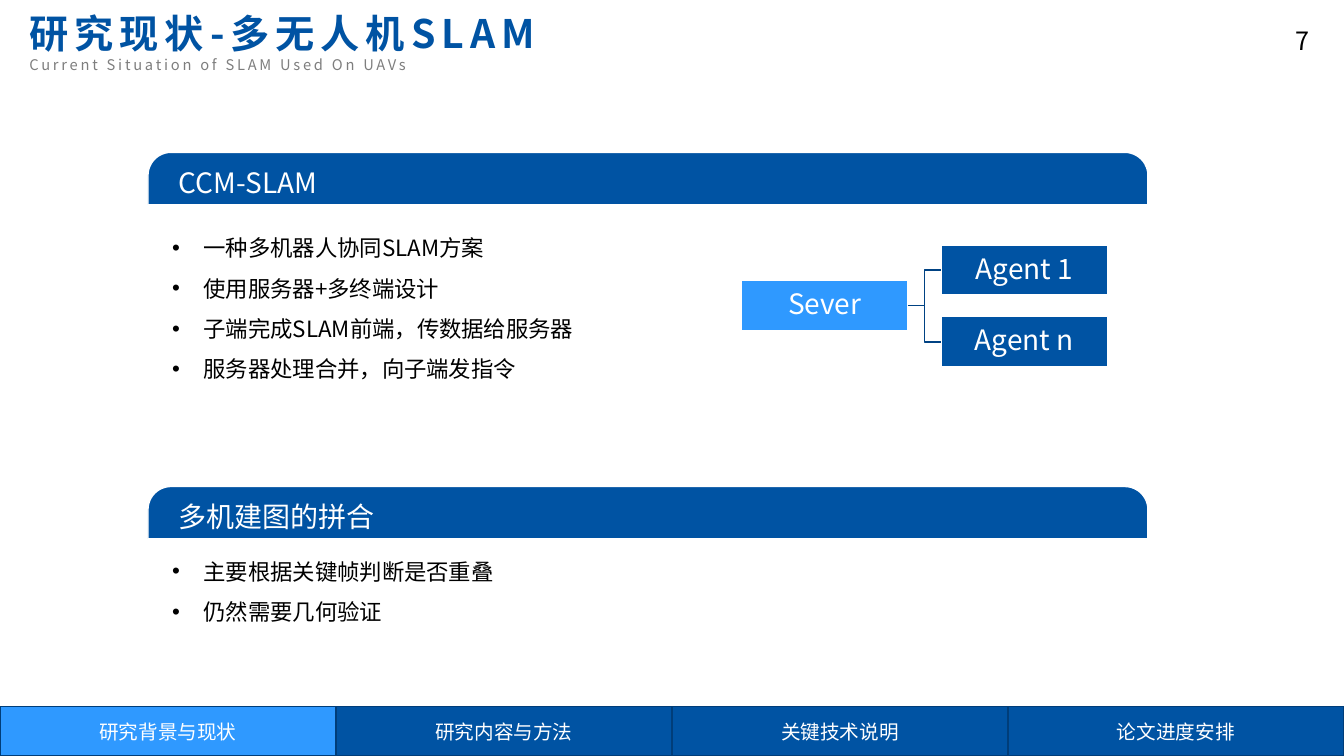
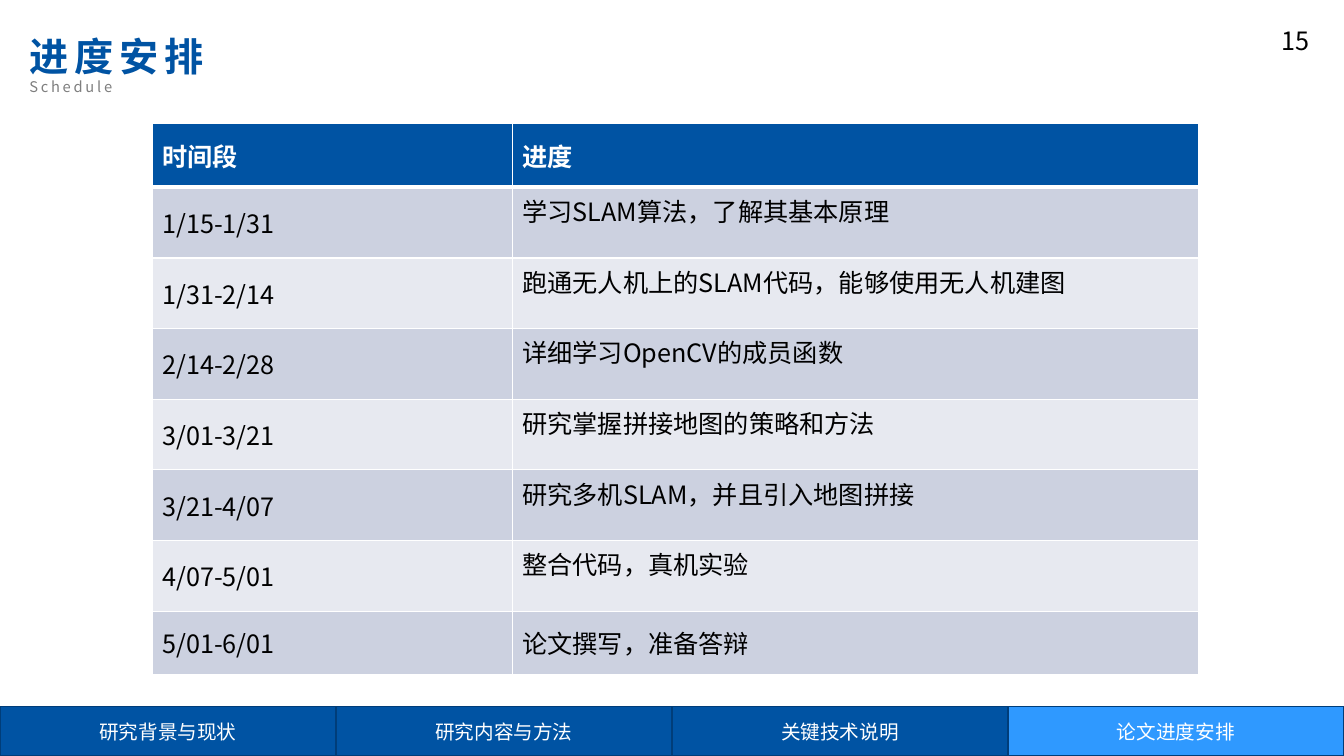
from lxml import etree
from pptx import Presentation
from pptx import util as u
from pptx.dml.color import RGBColor
from pptx.enum import shapes, text
from pptx.oxml.ns import qn

FONT = "Noto Sans CJK SC"
COLORS = {
    "primary": "0053A3", "active": "2F99FF", "outline": "003D79",
    "link": "004283", "white": "FFFFFF", "black": "000000",
    "subtitle": "7E7E7E", "row_dark": "CCD1E0", "row_light": "E7E9F0",
}
WIDTH, HEIGHT = 33.87, 19.05
CHAPTERS = ["研究背景与现状", "研究内容与方法", "关键技术说明", "论文进度安排"]


def color(name):
    return RGBColor.from_string(COLORS[name])


def write(paragraph, content, size=16, ink="black", bold=False, align="LEFT",
          line=1.0, spacing=0, bullet=False):
    """Put formatted text into a paragraph."""
    if bullet:
        properties = paragraph._p.get_or_add_pPr()
        properties.set("marL", str(u.Cm(0.79)))
        properties.set("indent", str(-u.Cm(0.79)))
        etree.SubElement(properties, qn("a:buFont")).set("typeface", "Arial")
        etree.SubElement(properties, qn("a:buChar")).set("char", "•")
    paragraph.alignment = getattr(text.PP_ALIGN, align)
    paragraph.line_spacing = line
    paragraph.space_before = u.Pt(0)
    run = paragraph.add_run()
    run.text = content
    run.font.name = FONT
    run.font.size = u.Pt(size)
    run.font.bold = bold
    run.font.color.rgb = color(ink)
    run_properties = run._r.get_or_add_rPr()
    etree.SubElement(run_properties, qn("a:ea")).set("typeface", FONT)
    if spacing:
        run_properties.set("spc", str(int(spacing * 100)))


class Deck:
    """Holds the shared style and the current slide."""

    def __init__(self):
        self.presentation = Presentation()
        self.presentation.slide_width = u.Cm(WIDTH)
        self.presentation.slide_height = u.Cm(HEIGHT)
        self.slide = None

    def start(self, title, subtitle, top, number, chapter):
        """New slide with its title, page number and chapter bar."""
        layout = self.presentation.slide_layouts[5]
        self.slide = self.presentation.slides.add_slide(layout)
        holder = self.slide.shapes.title
        holder.left, holder.top = u.Cm(0.74), u.Cm(top)
        holder.width, holder.height = u.Cm(20), u.Cm(1.9)
        frame = holder.text_frame
        self.prepare(frame, "TOP", 0, 0)
        write(frame.paragraphs[0], title, size=28, ink="primary", bold=True,
              line=0.9, spacing=4.3)
        write(frame.add_paragraph(), subtitle, size=10.5, ink="subtitle",
              line=0.9, spacing=2)
        self.textbox(31.2, 0.51, 2.05, 1.02, [number], size=18, align="RIGHT")
        tab = WIDTH / len(CHAPTERS)
        for index, name in enumerate(CHAPTERS):
            fill = "active" if index == chapter else "primary"
            self.block(index * tab, 17.81, tab, 1.24, name, fill=fill,
                       outline="outline", size=14, align="CENTER")

    def prepare(self, frame, anchor, side, edge):
        frame.word_wrap = True
        frame.auto_size = text.MSO_AUTO_SIZE.NONE
        frame.vertical_anchor = getattr(text.MSO_ANCHOR, anchor)
        frame.margin_left = frame.margin_right = u.Cm(side)
        frame.margin_top = frame.margin_bottom = u.Cm(edge)

    def textbox(self, left, top, width, height, lines, **style):
        box = self.slide.shapes.add_textbox(
            u.Cm(left), u.Cm(top), u.Cm(width), u.Cm(height))
        frame = box.text_frame
        self.prepare(frame, "TOP", 0.25, 0.13)
        for index, content in enumerate(lines):
            paragraph = frame.add_paragraph() if index else frame.paragraphs[0]
            write(paragraph, content, **style)

    def block(self, left, top, width, height, content, fill="primary",
              outline="white", kind="RECTANGLE", side=0.03, **style):
        """Filled shape with one line of white text."""
        shape = self.slide.shapes.add_shape(
            getattr(shapes.MSO_SHAPE, kind),
            u.Cm(left), u.Cm(top), u.Cm(width), u.Cm(height))
        shape.shadow.inherit = False
        shape.fill.solid()
        shape.fill.fore_color.rgb = color(fill)
        shape.line.color.rgb = color(outline)
        shape.line.width = u.Pt(1)
        self.prepare(shape.text_frame, "MIDDLE", side, 0.03)
        write(shape.text_frame.paragraphs[0], content, ink="white", **style)
        return shape

    def section(self, top, heading, text_top, points):
        """Rounded heading band with bullets below it."""
        band = self.block(3.73, top, 25.2, 1.32, heading, size=20, side=0.6,
                          kind="ROUND_2_SAME_RECTANGLE")
        band.adjustments[0] = 0.44
        self.textbox(4.09, text_top, 14, 1.1 * len(points), points,
                     line=1.5, bullet=True)

    def node(self, left, top, name, fill="primary"):
        return self.block(left, top, 4.19, 1.27, name, fill=fill, size=20,
                          align="CENTER", line=0.9)

    def link(self, parent, child):
        connector = self.slide.shapes.add_connector(
            shapes.MSO_CONNECTOR.ELBOW, 0, 0, 0, 0)
        connector.begin_connect(parent, 3)
        connector.end_connect(child, 1)
        connector.line.color.rgb = color("link")
        connector.line.width = u.Pt(1)
        etree.SubElement(connector._element.spPr, qn("a:effectLst"))

    def border(self, cell, side, width):
        line = etree.SubElement(cell._tc.get_or_add_tcPr(), qn("a:ln" + side))
        line.set("w", str(u.Pt(width)))
        fill = etree.SubElement(line, qn("a:solidFill"))
        etree.SubElement(fill, qn("a:srgbClr")).set("val", COLORS["white"])

    def table(self, left, top, widths, heights, rows):
        table = self.slide.shapes.add_table(
            len(rows), len(widths), u.Cm(left), u.Cm(top),
            u.Cm(sum(widths)), u.Cm(sum(heights))).table
        for column, width in zip(table.columns, widths):
            column.width = u.Cm(width)
        for r, values in enumerate(rows):
            table.rows[r].height = u.Cm(heights[r])
            header = r == 0
            fill = "primary" if header else "row_dark" if r % 2 else "row_light"
            for c, value in enumerate(values):
                cell = table.cell(r, c)
                for side in "LRTB":
                    thick = (r, side) in ((0, "B"), (1, "T"))
                    self.border(cell, side, 3 if thick else 1)
                cell.fill.solid()
                cell.fill.fore_color.rgb = color(fill)
                # Descriptions sit at the top of the taller rows
                upper = c == 1 and 0 < r < len(rows) - 1
                cell.vertical_anchor = (text.MSO_ANCHOR.TOP if upper
                                        else text.MSO_ANCHOR.MIDDLE)
                write(cell.text_frame.paragraphs[0], value, size=18,
                      ink="white" if header else "black", bold=header)


def multi_drone_slide(deck):
    deck.start("研究现状-多无人机SLAM", "Current Situation of SLAM Used On UAVs",
               top=0.38, number="7", chapter=0)
    deck.section(3.84, "CCM-SLAM", 5.44, [
        "一种多机器人协同SLAM方案",
        "使用服务器+多终端设计",
        "子端完成SLAM前端，传数据给服务器",
        "服务器处理合并，向子端发指令",
    ])
    deck.section(12.26, "多机建图的拼合", 13.59, [
        "主要根据关键帧判断是否重叠",
        "仍然需要几何验证",
    ])
    # Server and agents
    server = deck.node(18.69, 7.07, "Sever", fill="active")
    for top, name in ((6.17, "Agent 1"), (7.98, "Agent n")):
        deck.link(server, deck.node(23.72, top, name))


def schedule_slide(deck):
    deck.start("进度安排", "Schedule", top=0.94, number="15", chapter=3)
    deck.table(3.84, 3.12, [9.07, 17.3], [1.6] + [1.78] * 6 + [1.6], [
        ("时间段", "进度"),
        ("1/15-1/31", "学习SLAM算法，了解其基本原理"),
        ("1/31-2/14", "跑通无人机上的SLAM代码，能够使用无人机建图"),
        ("2/14-2/28", "详细学习OpenCV的成员函数"),
        ("3/01-3/21", "研究掌握拼接地图的策略和方法"),
        ("3/21-4/07", "研究多机SLAM，并且引入地图拼接"),
        ("4/07-5/01", "整合代码，真机实验"),
        ("5/01-6/01", "论文撰写，准备答辩"),
    ])


def main():
    deck = Deck()
    multi_drone_slide(deck)
    schedule_slide(deck)
    deck.presentation.save("out.pptx")


if __name__ == "__main__":
    main()
